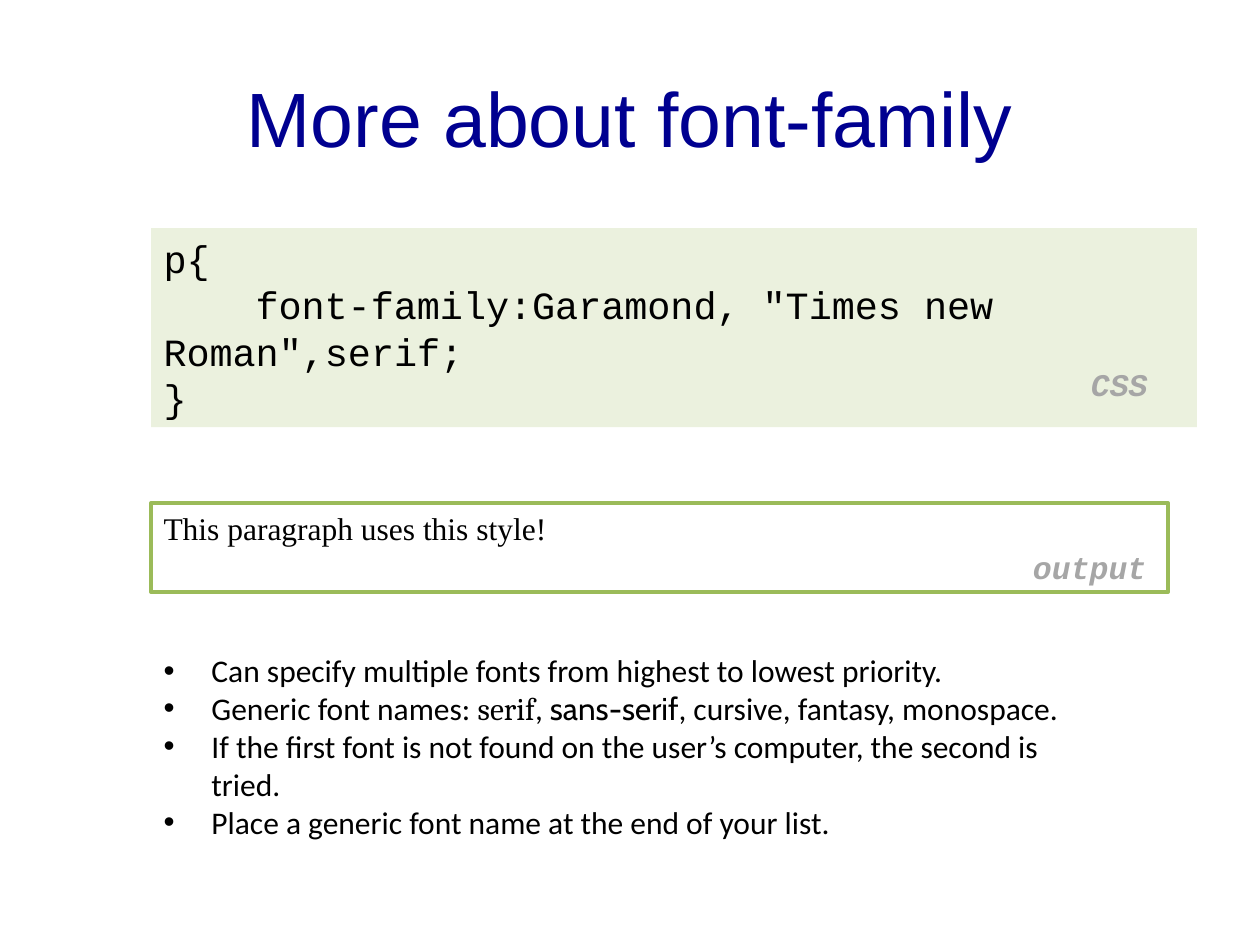
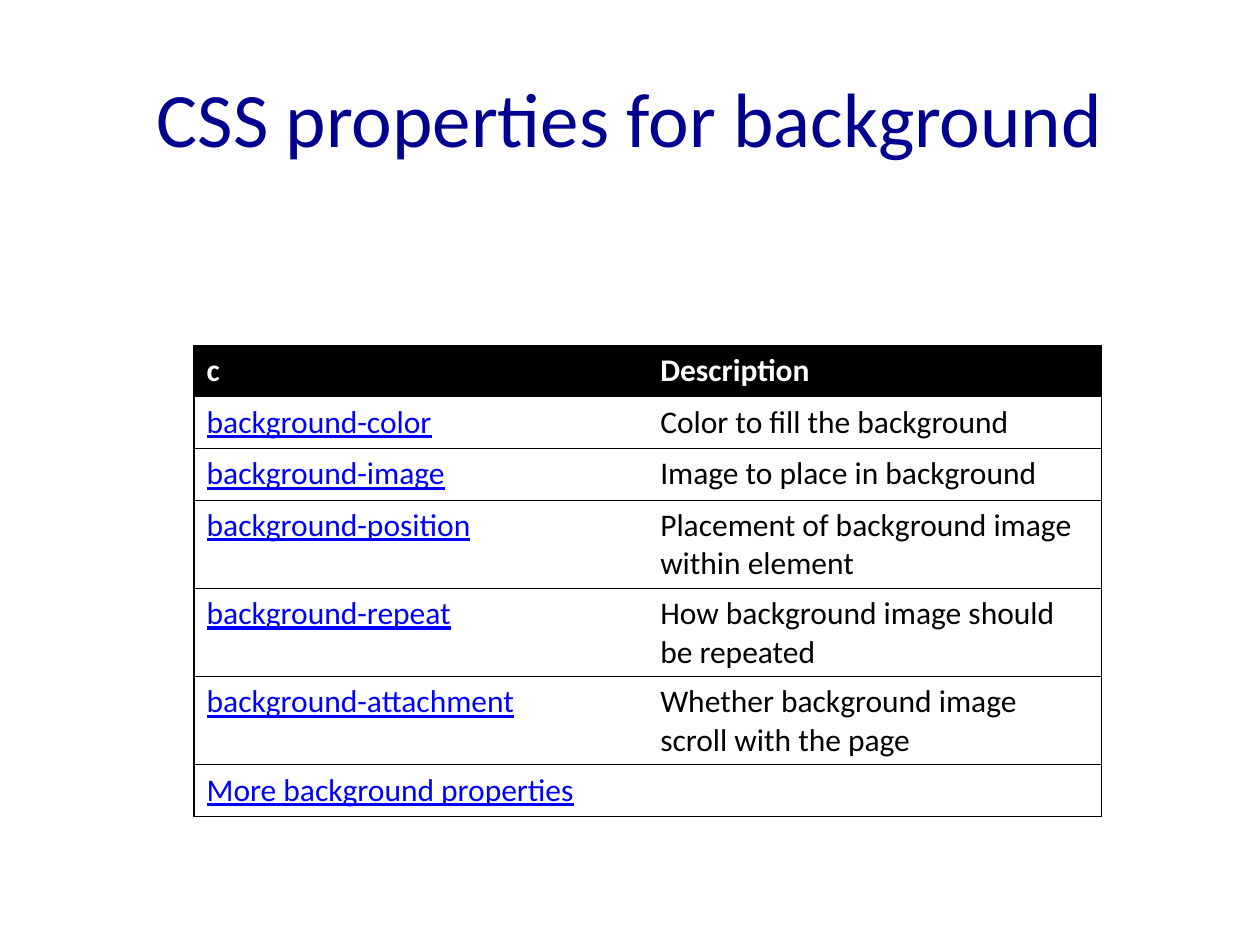
from dataclasses import dataclass

from lxml import etree
from pptx import Presentation
from pptx import util as u
from pptx.dml.color import RGBColor
from pptx.enum import shapes, text
from pptx.oxml.ns import qn


@dataclass(frozen=True)
class Theme:
    title_color: RGBColor = RGBColor(0x00, 0x00, 0x90)
    black: RGBColor = RGBColor(0x00, 0x00, 0x00)
    white: RGBColor = RGBColor(0xFF, 0xFF, 0xFF)
    label: RGBColor = RGBColor(0xA6, 0xA6, 0xA6)
    link: RGBColor = RGBColor(0x00, 0x00, 0xFF)
    code_fill: RGBColor = RGBColor(0xEB, 0xF1, 0xDE)
    output_line: RGBColor = RGBColor(0x9B, 0xBB, 0x59)
    body_font: str = "Calibri"
    code_font: str = "Courier New"
    title_size: u.Pt = u.Pt(44)
    code_size: u.Pt = u.Pt(22)
    body_size: u.Pt = u.Pt(18)
    border_width: u.Pt = u.Pt(0.75)


THEME = Theme()


@dataclass(frozen=True)
class Box:
    left: float
    top: float
    width: float
    height: float

    def lengths(self):
        return [u.Inches(n) for n in (self.left, self.top, self.width, self.height)]


@dataclass(frozen=True)
class CornerLabel:
    wording: str
    box: Box


@dataclass(frozen=True)
class PropertyRow:
    name: str
    description: str


TITLE_BOX = Box(0.5, 0.3, 9, 1.25)
CODE_BOX = Box(1.2, 1.81, 8.3, 1.58)
OUTPUT_BOX = Box(1.2, 3.99, 8.07, 0.71)
NOTES_BOX = Box(1.2, 5.12, 7.48, 1.62)
CORNER_LABELS = [
    CornerLabel("CSS", Box(8.56, 2.85, 0.72, 0.4)),
    CornerLabel("output", Box(8.1, 4.3, 1.17, 0.4)),
]
CODE_LINES = ["p{", 'font-family:Garamond, "Times new Roman",serif;', "}"]
CODE_INDENT = 0.73
BULLET_INDENT = 0.38

# Each note is a list of (wording, font) pieces.
FONT_NOTES = [
    [("Can specify multiple fonts from highest to lowest priority.", THEME.body_font)],
    [
        ("Generic font names: ", THEME.body_font),
        ("serif", "Cambria"),
        (", ", THEME.body_font),
        ("sans-serif", "Cabin"),
        (", cursive, fantasy, monospace.", THEME.body_font),
    ],
    [("If the first font is not found on the user’s computer, the second is tried.", THEME.body_font)],
    [("Place a generic font name at the end of your list.", THEME.body_font)],
]

TABLE_BOX = Box(1.54, 2.74, 7.2, 2.87)
ROW_HEIGHT = 0.41
PROPERTIES = [
    PropertyRow("c", "Description"),
    PropertyRow("background-color", "Color to fill the background"),
    PropertyRow("background-image", "Image to place in background"),
    PropertyRow("background-position", "Placement of background image within element"),
    PropertyRow("background-repeat", "How background image should be repeated"),
    PropertyRow("background-attachment", "Whether background image scroll with the page"),
    PropertyRow("More background properties", ""),
]


def style_run(run, font: str, size: u.Pt, color: RGBColor,
              bold: bool = False, italic: bool = False, underline: bool = False) -> None:
    run.font.name = font
    run.font.size = size
    run.font.color.rgb = color
    run.font.bold = bold
    run.font.italic = italic
    run.font.underline = underline


def style_frame(frame, font: str, size: u.Pt, color: RGBColor, **emphasis: bool) -> None:
    for paragraph in frame.paragraphs:
        for run in paragraph.runs:
            style_run(run, font, size, color, **emphasis)


def indent_paragraph(paragraph, margin: float, first_line: float):
    properties = paragraph._p.get_or_add_pPr()
    properties.set("marL", str(u.Inches(margin)))
    properties.set("indent", str(u.Inches(first_line)))
    return properties


def add_bullet(paragraph) -> None:
    properties = indent_paragraph(paragraph, BULLET_INDENT, -BULLET_INDENT)
    etree.SubElement(properties, qn("a:buFont"), typeface="Arial")
    etree.SubElement(properties, qn("a:buChar"), char="•")


def add_text_box(slide, box: Box, wrap: bool = True):
    frame = slide.shapes.add_textbox(*box.lengths()).text_frame
    frame.word_wrap = wrap
    return frame


def add_panel(slide, box: Box, wording: str):
    """Add a rectangle with left-aligned text and no fill or line."""
    panel = slide.shapes.add_shape(shapes.MSO_SHAPE.RECTANGLE, *box.lengths())
    panel.shadow.inherit = False
    panel.fill.background()
    panel.line.fill.background()
    panel.text_frame.word_wrap = True
    panel.text_frame.text = wording
    for paragraph in panel.text_frame.paragraphs:
        paragraph.alignment = text.PP_ALIGN.LEFT
    return panel


def add_titled_slide(presentation, title: str, font: str):
    slide = presentation.slides.add_slide(presentation.slide_layouts[6])
    frame = add_text_box(slide, TITLE_BOX)
    frame.vertical_anchor = text.MSO_ANCHOR.MIDDLE
    frame.text = title
    frame.paragraphs[0].alignment = text.PP_ALIGN.CENTER
    style_frame(frame, font, THEME.title_size, THEME.title_color)
    return slide


def add_code_panel(slide) -> None:
    panel = add_panel(slide, CODE_BOX, "\n".join(CODE_LINES))
    panel.fill.solid()
    panel.fill.fore_color.rgb = THEME.code_fill
    frame = panel.text_frame
    frame.vertical_anchor = text.MSO_ANCHOR.MIDDLE
    frame.auto_size = text.MSO_AUTO_SIZE.SHAPE_TO_FIT_TEXT
    indent_paragraph(frame.paragraphs[1], 0, CODE_INDENT)
    style_frame(frame, THEME.code_font, THEME.code_size, THEME.black)


def add_output_panel(slide) -> None:
    panel = add_panel(slide, OUTPUT_BOX, "This paragraph uses this style!")
    panel.line.color.rgb = THEME.output_line
    panel.line.width = u.Pt(2)
    panel.text_frame.vertical_anchor = text.MSO_ANCHOR.TOP
    style_frame(panel.text_frame, "Times New Roman", THEME.body_size, THEME.black)


def add_corner_label(slide, label: CornerLabel) -> None:
    frame = add_text_box(slide, label.box, wrap=False)
    frame.text = label.wording
    style_frame(frame, THEME.code_font, THEME.body_size, THEME.label, bold=True, italic=True)


def add_font_notes(slide) -> None:
    frame = add_text_box(slide, NOTES_BOX)
    for index, pieces in enumerate(FONT_NOTES):
        paragraph = frame.add_paragraph() if index else frame.paragraphs[0]
        add_bullet(paragraph)
        for wording, font in pieces:
            run = paragraph.add_run()
            run.text = wording
            style_run(run, font, THEME.body_size, THEME.black)


def set_borders(cell, hidden_edge: str) -> None:
    """Rule every edge of the cell except the hidden one."""
    properties = cell._tc.get_or_add_tcPr()
    for edge in ("lnL", "lnR", "lnT", "lnB"):
        line = etree.SubElement(properties, qn(f"a:{edge}"), w=str(THEME.border_width))
        if edge == hidden_edge:
            etree.SubElement(line, qn("a:noFill"))
        else:
            fill = etree.SubElement(line, qn("a:solidFill"))
            etree.SubElement(fill, qn("a:srgbClr"), val=str(THEME.black))


def fill_cell(cell, wording: str, is_header: bool, is_name: bool) -> None:
    if is_header:
        cell.fill.solid()
        cell.fill.fore_color.rgb = THEME.black
        color = THEME.white
    else:
        cell.fill.background()
        color = THEME.link if is_name else THEME.black
    cell.text = wording
    style_frame(cell.text_frame, THEME.body_font, THEME.body_size, color,
                bold=is_header, underline=is_name and not is_header)


def add_property_table(slide) -> None:
    table = slide.shapes.add_table(len(PROPERTIES), 2, *TABLE_BOX.lengths()).table
    table.horz_banding = False
    for row_index, row in enumerate(PROPERTIES):
        table.rows[row_index].height = u.Inches(ROW_HEIGHT)
        is_merged = not row.description
        if is_merged:
            table.cell(row_index, 0).merge(table.cell(row_index, 1))
        for column, wording in enumerate((row.name, row.description)):
            cell = table.cell(row_index, column)
            inner_edge = "lnL" if column else "lnR"
            set_borders(cell, "" if is_merged else inner_edge)
            fill_cell(cell, wording, is_header=row_index == 0, is_name=column == 0)


def main() -> None:
    presentation = Presentation()
    presentation.slide_width = u.Inches(10)
    presentation.slide_height = u.Inches(7.5)

    font_slide = add_titled_slide(presentation, "More about font-family", "Arial")
    add_code_panel(font_slide)
    for label in CORNER_LABELS:
        add_corner_label(font_slide, label)
    add_output_panel(font_slide)
    add_font_notes(font_slide)

    background_slide = add_titled_slide(
        presentation, "CSS properties for background", THEME.body_font)
    add_property_table(background_slide)

    presentation.save("out.pptx")


if __name__ == "__main__":
    main()
